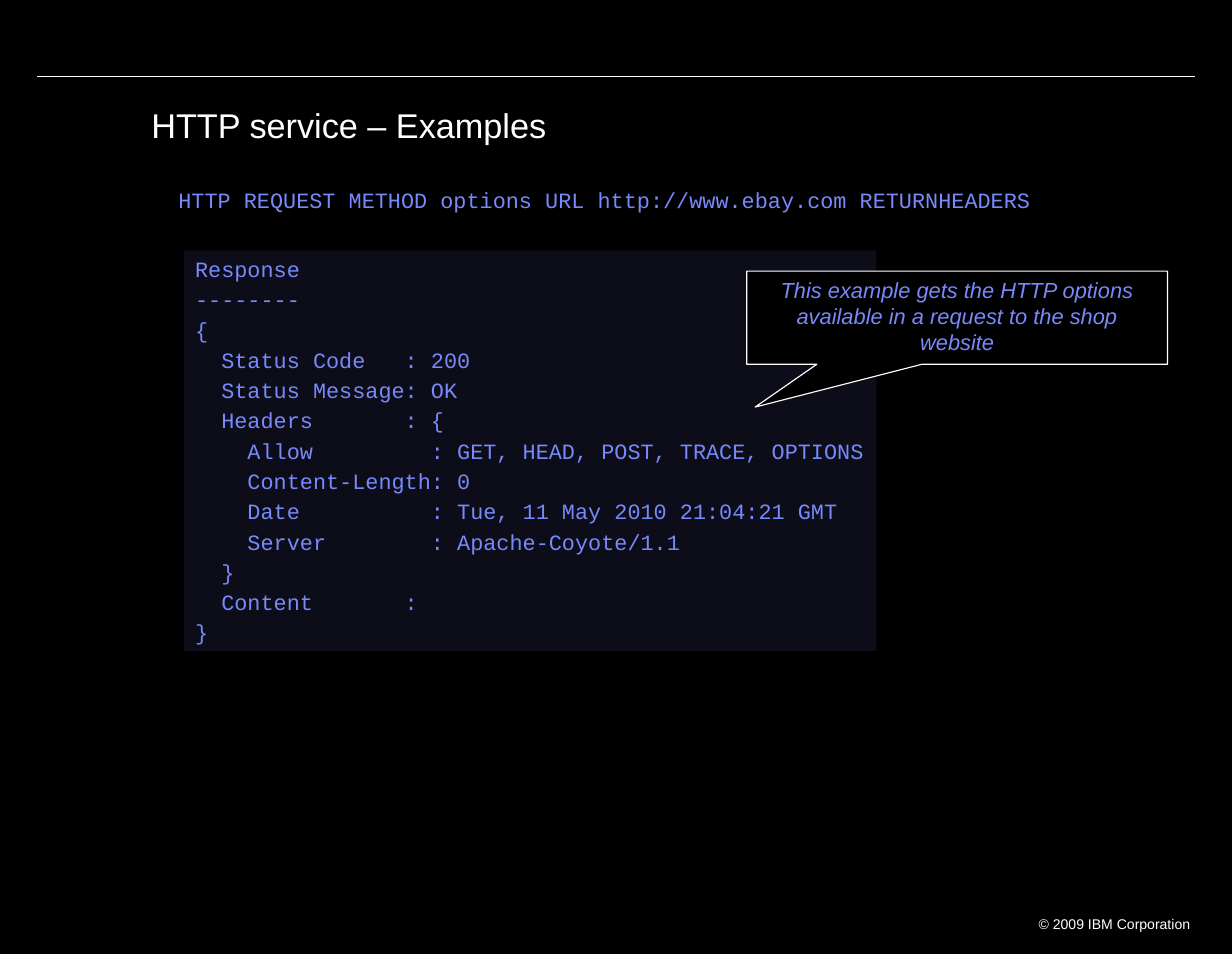
from dataclasses import dataclass

from lxml import etree
from pptx import Presentation
from pptx import util as u
from pptx.dml.color import RGBColor
from pptx.enum import shapes, text
from pptx.oxml import ns

WIDE, HIGH = 10.98, 8.5
HUES = {"back": "000000", "front": "FFFFFF", "code": "7889FB"}
MONO, SANS = "Courier New", "Arial"
LEFT, MID, RIGHT = text.PP_ALIGN.LEFT, text.PP_ALIGN.CENTER, text.PP_ALIGN.RIGHT


@dataclass
class Box:
    """Place in percent of the slide's width and height."""
    left: float
    top: float
    width: float
    height: float


@dataclass
class Style:
    font: str
    size: float
    hue: str
    align: text.PP_ALIGN = LEFT
    slant: bool = False
    after: float = 0
    lead: float = 1.0


@dataclass
class Part:
    box: Box
    style: Style
    lines: list[str]
    pad: tuple[float, float] = (0.1, 0.05)
    wrap: bool = True


CODE = Style(MONO, 14, "code", after=2.6)

TITLE = Part(Box(11.29, 10.72, 90.16, 7.29), Style(SANS, 22, "front", lead=0.9),
             ["HTTP service – Examples"], pad=(0.11, 0.06))
OWNER = Part(Box(82.57, 95.3, 15.03, 2.71), Style(SANS, 9, "front", RIGHT),
             ["© 2009 IBM Corporation"], pad=(0.11, 0.06))
QUERY = Part(Box(14.48, 19.55, 86.34, 2.71), CODE,
             ["HTTP REQUEST METHOD options URL http://www.ebay.com RETURNHEADERS"],
             pad=(0, 0))
REPLY = Part(Box(14.94, 26.24, 56.19, 42), CODE, [
    "Response",
    "--------",
    "{",
    "  Status Code   : 200",
    "  Status Message: OK",
    "  Headers       : {",
    "    Allow         : GET, HEAD, POST, TRACE, OPTIONS",
    "    Content-Length: 0",
    "    Date          : Tue, 11 May 2010 21:04:21 GMT",
    "    Server        : Apache-Coyote/1.1",
    "  }",
    "  Content       :",
    "}",
], wrap=False)
NOTE = Part(Box(60.62, 28.42, 34.15, 9.76), Style(SANS, 14, "code", MID, slant=True),
            ["This example gets the HTTP options available in a request to the shop website"])


def across(share: float) -> u.Emu:
    return u.Inches(WIDE * share / 100)


def down(share: float) -> u.Emu:
    return u.Inches(HIGH * share / 100)


def place(box: Box) -> tuple[u.Emu, u.Emu, u.Emu, u.Emu]:
    return across(box.left), down(box.top), across(box.width), down(box.height)


def tint(name: str) -> RGBColor:
    return RGBColor.from_string(HUES[name])


def write(shape, part: Part) -> None:
    frame, style = shape.text_frame, part.style
    frame.word_wrap = part.wrap
    frame.auto_size = text.MSO_AUTO_SIZE.NONE
    frame.vertical_anchor = text.MSO_ANCHOR.TOP
    frame.margin_left = frame.margin_right = u.Inches(part.pad[0])
    frame.margin_top = frame.margin_bottom = u.Inches(part.pad[1])
    for i, line in enumerate(part.lines):
        para = frame.add_paragraph() if i else frame.paragraphs[0]
        para.alignment = style.align
        para.line_spacing = style.lead
        para.space_after = u.Pt(style.after)
        run = para.add_run()
        run.text = line
        run.font.name = style.font
        run.font.size = u.Pt(style.size)
        run.font.italic = style.slant
        run.font.color.rgb = tint(style.hue)


def label(slide, part: Part) -> None:
    write(slide.shapes.add_textbox(*place(part.box)), part)


def panel(slide, part: Part, kind: shapes.MSO_SHAPE, fill: str):
    shape = slide.shapes.add_shape(kind, *place(part.box))
    shape.shadow.inherit = False
    shape.fill.solid()
    shape.fill.fore_color.rgb = tint(fill)
    shape.line.fill.background()
    write(shape, part)
    return shape


def edge(line) -> None:
    line.color.rgb = tint("front")
    line.width = u.Pt(0.75)


def main() -> None:
    deck = Presentation()
    deck.slide_width, deck.slide_height = u.Inches(WIDE), u.Inches(HIGH)
    slide = deck.slides.add_slide(deck.slide_layouts[5])
    slide.background.fill.solid()
    slide.background.fill.fore_color.rgb = tint("back")

    # Title
    title = slide.shapes.title
    title.left, title.top, title.width, title.height = place(TITLE.box)
    write(title, TITLE)

    # Rule along the top
    rule = slide.shapes.add_connector(shapes.MSO_CONNECTOR.STRAIGHT,
                                      across(3), down(8), across(97), down(8))
    edge(rule.line)
    etree.SubElement(rule._element.spPr, ns.qn("a:effectLst"))

    # Footer and command
    label(slide, OWNER)
    label(slide, QUERY)

    # Response on a faint panel
    reply = panel(slide, REPLY, shapes.MSO_SHAPE.RECTANGLE, "code")
    shade = reply._element.spPr.find(ns.qn("a:solidFill"))[0]
    etree.SubElement(shade, ns.qn("a:alpha"), val="10000")

    # Callout
    note = panel(slide, NOTE, shapes.MSO_SHAPE.RECTANGULAR_CALLOUT, "back")
    edge(note.line)
    note.adjustments[0], note.adjustments[1] = -0.48, 0.96

    deck.save("out.pptx")


if __name__ == "__main__":
    main()
